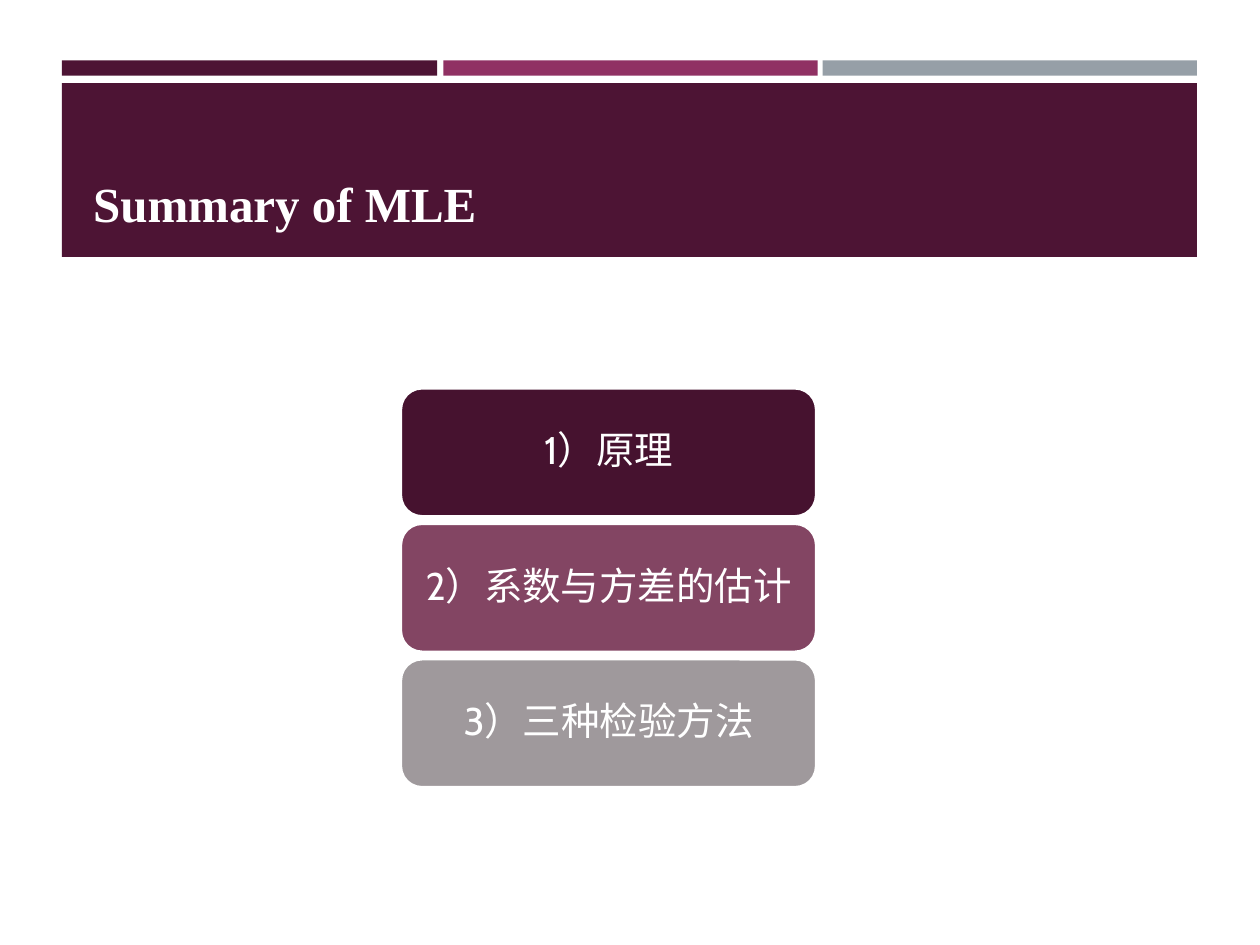
"""Build the "Summary of MLE" slide."""
import pptx
import pptx.dml.color
import pptx.enum.shapes
import pptx.enum.text
import pptx.util

Inches = pptx.util.Inches
Pt = pptx.util.Pt
SHAPE = pptx.enum.shapes.MSO_SHAPE
ALIGN = pptx.enum.text.PP_ALIGN
ANCHOR = pptx.enum.text.MSO_ANCHOR

PLUM = "4D1434"
WHITE = "FFFFFF"
STRIPES = [(0.49, 2.98, PLUM), (3.52, 2.97, "903163"), (6.53, 2.97, "969FA7")]
TOPICS = [
    ("1）原理", "46122F"),
    ("2）系数与方差的估计", "834563"),
    ("3）三种检验方法", "9F999C"),
]


def rgb(value):
    """Turn a hex string into a colour."""
    return pptx.dml.color.RGBColor.from_string(value)


def add_block(s, kind, x, y, w, h, fill, line=None):
    """Add a filled preset shape, outlined if a line colour is given."""
    sp = s.shapes.add_shape(kind, Inches(x), Inches(y), Inches(w), Inches(h))
    sp.shadow.inherit = False
    sp.fill.solid()
    sp.fill.fore_color.rgb = rgb(fill)
    if line:
        sp.line.color.rgb = rgb(line)
        sp.line.width = Pt(1.75)
    else:
        sp.line.fill.background()


def add_text(s, x, y, w, h, text, font, size, bold=False):
    """Add a white one-line text box and return its shape."""
    sp = s.shapes.add_textbox(Inches(x), Inches(y), Inches(w), Inches(h))
    r = sp.text_frame.paragraphs[0].add_run()
    r.text = text
    r.font.name = font
    r.font.size = Pt(size)
    r.font.bold = bold
    r.font.color.rgb = rgb(WHITE)
    return sp


def add_header(s):
    """Add the three stripes, the title band and the title."""
    for x, w, fill in STRIPES:
        add_block(s, SHAPE.RECTANGLE, x, 0.48, w, 0.12, fill)
    add_block(s, SHAPE.RECTANGLE, 0.49, 0.66, 9.01, 1.38, PLUM)
    sp = add_text(s, 0.64, 1.33, 3.28, 0.57, "Summary of MLE", "Times New Roman", 28, True)
    sp.text_frame.word_wrap = False
    sp.text_frame.auto_size = pptx.enum.text.MSO_AUTO_SIZE.SHAPE_TO_FIT_TEXT


def add_topic(s, y, text, fill):
    """Add a rounded card with its centred label."""
    add_block(s, SHAPE.ROUNDED_RECTANGLE, 3.18, y, 3.3, 1.02, fill, WHITE)
    tf = add_text(s, 3.23, y + 0.05, 3.2, 0.92, text, "Cabin", 22).text_frame
    tf.word_wrap = True
    tf.vertical_anchor = ANCHOR.MIDDLE
    tf.margin_left = tf.margin_right = Inches(0.09)
    tf.margin_top = tf.margin_bottom = Inches(0.05)
    p = tf.paragraphs[0]
    p.alignment = ALIGN.CENTER
    p.line_spacing = 0.9


def main():
    """Build and save the slide."""
    prs = pptx.Presentation()
    prs.slide_width, prs.slide_height = Inches(10), Inches(7.5)
    s = prs.slides.add_slide(prs.slide_layouts[6])
    add_header(s)
    for i, (text, fill) in enumerate(TOPICS):
        add_topic(s, 3.08 + 1.075 * i, text, fill)
    prs.save("out.pptx")


if __name__ == "__main__":
    main()
